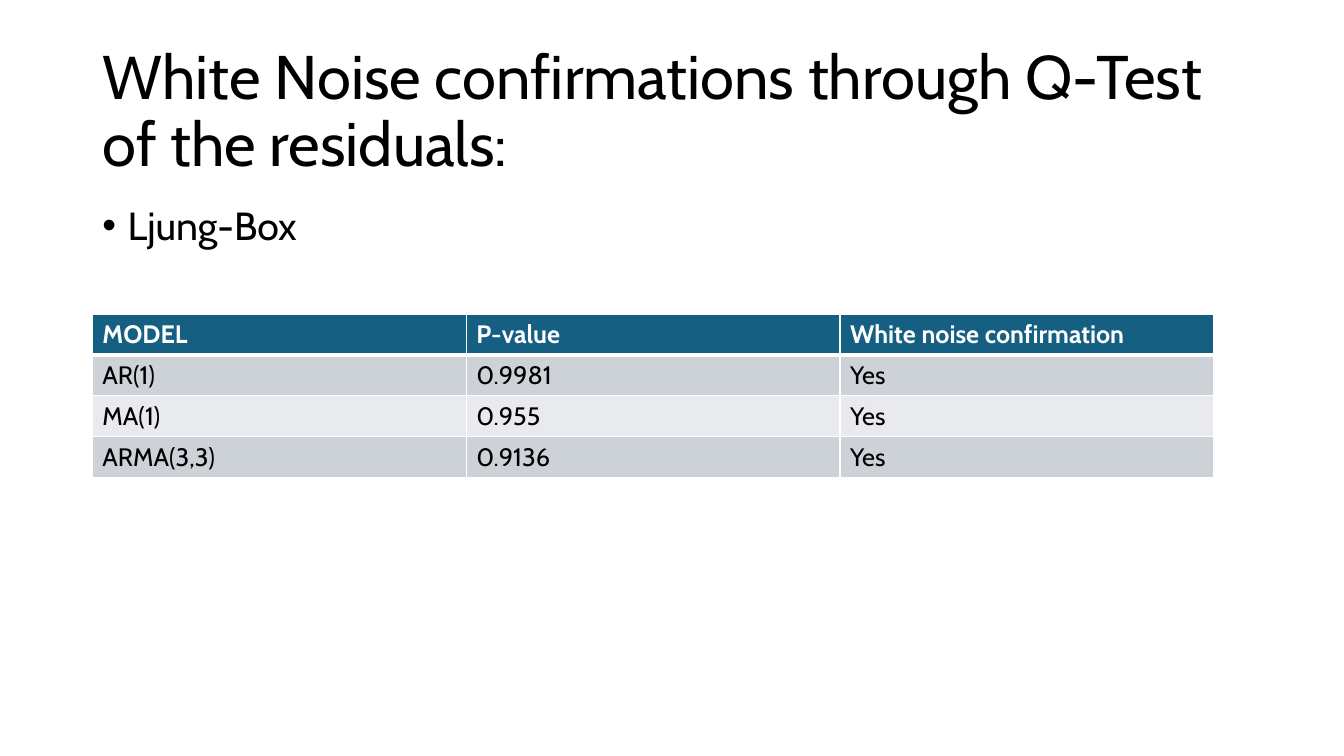
import pptx
import pptx.util
import pptx.dml.color
import pptx.enum.text
import pptx.oxml
import pptx.oxml.ns
import lxml.etree

PX = 9525
FONT = "Cabin"
BLACK = pptx.dml.color.RGBColor(0x00, 0x00, 0x00)
WHITE = pptx.dml.color.RGBColor(0xFF, 0xFF, 0xFF)
HEADER_BLUE = pptx.dml.color.RGBColor(0x15, 0x60, 0x82)
BAND_DARK = pptx.dml.color.RGBColor(0xCC, 0xD2, 0xD8)
BAND_LIGHT = pptx.dml.color.RGBColor(0xE8, 0xEA, 0xED)

Q_TEST_RESULTS = [
    ("MODEL", "P-value", "White noise confirmation"),
    ("AR(1)", "0.9981", "Yes"),
    ("MA(1)", "0.955", "Yes"),
    ("ARMA(3,3)", "0.9136", "Yes"),
]


def px(length):
    return pptx.util.Emu(length * PX)


def place(placeholder, left, top, width, height):
    placeholder.left, placeholder.top = px(left), px(top)
    placeholder.width, placeholder.height = px(width), px(height)


def format_runs(paragraph, size, color, bold=False):
    for run in paragraph.runs:
        run.font.name = FONT
        run.font.size = pptx.util.Pt(size)
        run.font.color.rgb = color
        run.font.bold = bold


def fill_placeholder(placeholder, text, size, anchor):
    frame = placeholder.text_frame
    frame.text = text
    frame.word_wrap = True
    frame.auto_size = pptx.enum.text.MSO_AUTO_SIZE.NONE
    frame.vertical_anchor = anchor
    paragraph = frame.paragraphs[0]
    paragraph.alignment = pptx.enum.text.PP_ALIGN.LEFT
    paragraph.line_spacing = 0.9
    format_runs(paragraph, size, BLACK)
    return paragraph


def add_bullet(paragraph, indent):
    properties = paragraph._p.get_or_add_pPr()
    properties.set("marL", str(px(indent)))
    properties.set("indent", str(-px(indent)))
    for tag, attribute, value in (("a:buFont", "typeface", "Arial"), ("a:buChar", "char", "•")):
        bullet = lxml.etree.SubElement(properties, pptx.oxml.ns.qn(tag))
        bullet.set(attribute, value)


def set_border(cell, position, side, points):
    line = pptx.oxml.parse_xml(
        f'<a:{side} {pptx.oxml.ns.nsdecls("a")} w="{pptx.util.Pt(points)}">'
        f'<a:solidFill><a:srgbClr val="{WHITE}"/></a:solidFill></a:{side}>'
    )
    cell._tc.get_or_add_tcPr().insert(position, line)


def style_cell(cell, row):
    is_header = row == 0
    cell.fill.solid()
    cell.fill.fore_color.rgb = HEADER_BLUE if is_header else BAND_DARK if row % 2 else BAND_LIGHT
    format_runs(cell.text_frame.paragraphs[0], 18, WHITE if is_header else BLACK, is_header)
    widths = {"lnL": 1, "lnR": 1, "lnT": 3 if row == 1 else 1, "lnB": 3 if is_header else 1}
    for position, (side, points) in enumerate(widths.items()):
        set_border(cell, position, side, points)


def add_results_table(slide, results, left, top, column_width, row_height):
    rows, columns = len(results), len(results[0])
    table = slide.shapes.add_table(
        rows, columns, px(left), px(top), px(column_width * columns), px(row_height * rows)
    ).table
    for row, values in enumerate(results):
        for column, value in enumerate(values):
            cell = table.cell(row, column)
            cell.text_frame.text = value
            style_cell(cell, row)


def main():
    presentation = pptx.Presentation()
    presentation.slide_width, presentation.slide_height = px(1280), px(720)
    slide = presentation.slides.add_slide(presentation.slide_layouts[1])

    title = slide.shapes.title
    place(title, 88, 38, 1104, 139)
    fill_placeholder(
        title,
        "White Noise confirmations through Q-Test of the residuals:",
        44,
        pptx.enum.text.MSO_ANCHOR.MIDDLE,
    )

    test_list = slide.placeholders[1]
    place(test_list, 88, 192, 1104, 457)
    test_name = fill_placeholder(test_list, "Ljung-Box", 28, pptx.enum.text.MSO_ANCHOR.TOP)
    test_name.space_before = pptx.util.Pt(10)
    add_bullet(test_name, 24)

    add_results_table(slide, Q_TEST_RESULTS, 88, 299, 356, 39)
    presentation.save("out.pptx")


if __name__ == "__main__":
    main()
